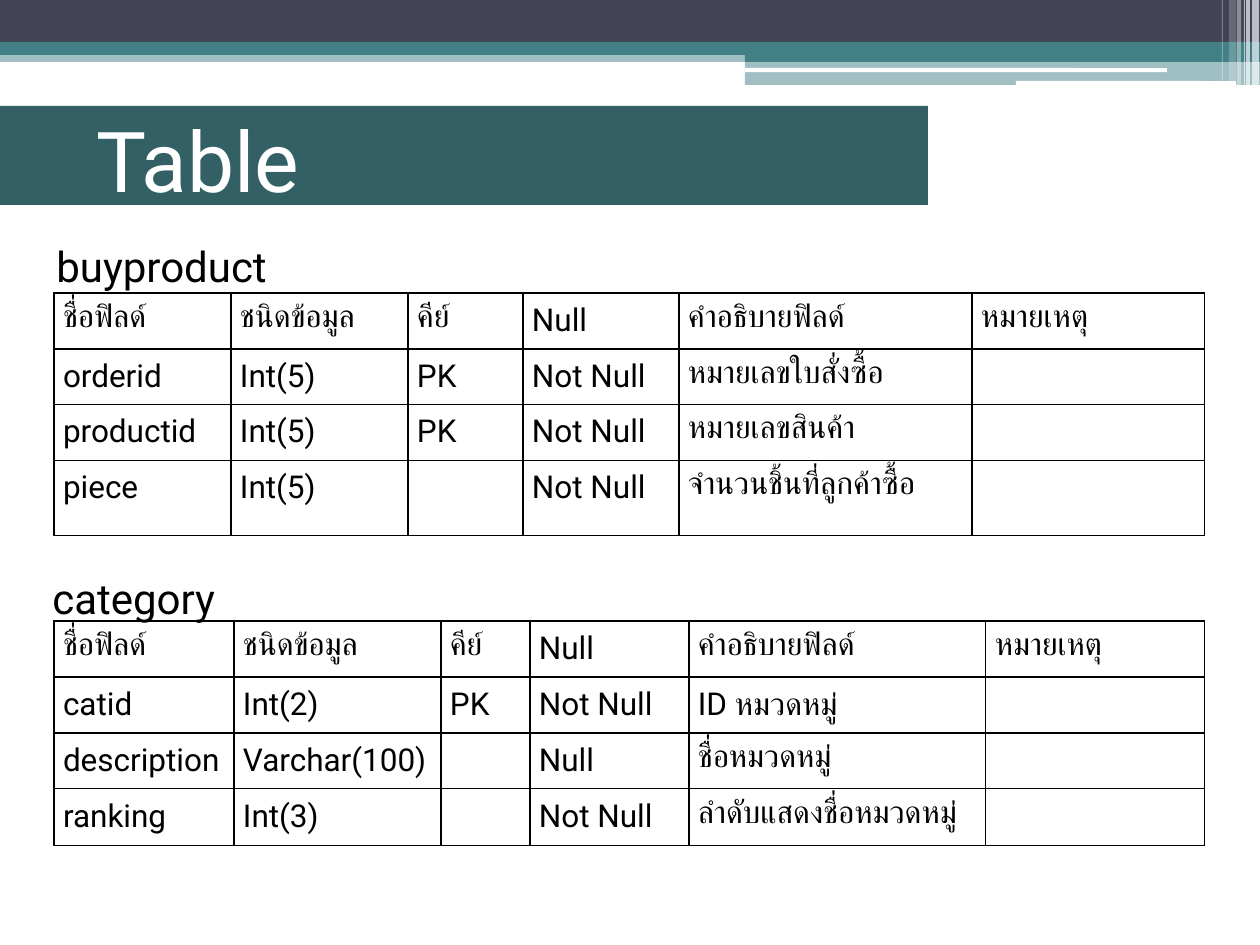
from dataclasses import dataclass

from lxml.etree import SubElement
from pptx import Presentation
from pptx.dml.color import RGBColor
from pptx.enum.shapes import MSO_SHAPE
from pptx.enum.text import MSO_ANCHOR
from pptx.oxml.ns import qn
from pptx.util import Emu, Pt


@dataclass(frozen=True)
class Theme:
    font: str = "Roboto"
    navy: str = "424456"
    teal: str = "438086"
    dark_teal: str = "326065"
    white: str = "FFFFFF"
    black: str = "000000"
    title_size: int = 48
    heading_size: int = 24
    cell_size: int = 18
    border_width: float = 0.75


THEME = Theme()
EMU_PER_PX = 914400 / 126
SLIDE_SIZE = (1260, 945)
CELL_MARGIN = 9

# (left, top, width, height), colour, opacity in percent
BARS = [
    ((0, 50, 1260, 12), THEME.teal, 50),
    ((0, 0, 1260, 42), THEME.navy, 100),
    ((0, 42, 1260, 13), THEME.teal, 100),
    ((745, 49, 515, 13), THEME.teal, 100),
    ((745, 62, 515, 23), THEME.teal, 50),
]
ROUNDED_BARS = [
    ((745, 68, 422, 4), THEME.white, 100),
    ((1016, 81, 220, 5), THEME.white, 100),
]
# left, width, height, opacity in percent
STRIPES = [
    (1252, 7, 85, 65),
    (1246, 4, 85, 65),
    (1244, 1, 85, 60),
    (1237, 4, 85, 40),
    (1229, 7, 81, 20),
    (1222, 1, 81, 30),
]
TITLE_BAND = ((0, 106, 928, 99), THEME.dark_teal, 100)
TITLE = ("Table", (84, 113, 1166, 91))

HEADER = ["ชื่อฟิลด์", "ชนิดข้อมูล", "คีย์", "Null", "คำอธิบายฟิลด์", "หมายเหตุ"]
TABLES = [
    {
        "heading": ("buyproduct", (44, 234, 276, 63)),
        "position": (54, 293),
        "columns": [177, 177, 115, 156, 293, 233],
        "rows": [56, 55, 56, 75],
        "records": [
            ["orderid", "Int(5)", "PK", "Not Null", "หมายเลขใบสั่งซื้อ", ""],
            ["productid", "Int(5)", "PK", "Not Null", "หมายเลขสินค้า", ""],
            ["piece", "Int(5)", "", "Not Null", "จำนวนชิ้นที่ลูกค้าซื้อ", ""],
        ],
    },
    {
        "heading": ("category", (40, 566, 276, 63)),
        "position": (54, 621),
        "columns": [180, 207, 89, 159, 297, 219],
        "rows": [56, 56, 56, 57],
        "records": [
            ["catid", "Int(2)", "PK", "Not Null", "ID หมวดหมู่", ""],
            ["description", "Varchar(100)", "", "Null", "ชื่อหมวดหมู่", ""],
            ["ranking", "Int(3)", "", "Not Null", "ลำดับแสดงชื่อหมวดหมู่", ""],
        ],
    },
]


def px(value):
    return Emu(round(value * EMU_PER_PX))


def add_bar(slide, box, color, opacity, kind=MSO_SHAPE.RECTANGLE):
    shape = slide.shapes.add_shape(kind, *map(px, box))
    shape.shadow.inherit = False
    shape.line.fill.background()
    shape.fill.solid()
    shape.fill.fore_color.rgb = RGBColor.from_string(color)
    if opacity < 100:
        color_element = shape.fill._xPr.find(qn("a:solidFill"))[0]
        SubElement(color_element, qn("a:alpha"), val=str(opacity * 1000))


def style_paragraph(paragraph, size, color):
    paragraph.font.name = THEME.font
    paragraph.font.size = Pt(size)
    paragraph.font.color.rgb = RGBColor.from_string(color)


def add_text(slide, text, box, size, color):
    frame = slide.shapes.add_textbox(*map(px, box)).text_frame
    frame.word_wrap = True
    frame.vertical_anchor = MSO_ANCHOR.MIDDLE
    frame.text = text
    style_paragraph(frame.paragraphs[0], size, color)


def add_borders(cell):
    properties = cell._tc.get_or_add_tcPr()
    for side in ("lnL", "lnR", "lnT", "lnB"):
        line = SubElement(properties, qn(f"a:{side}"), w=str(Pt(THEME.border_width)))
        fill = SubElement(line, qn("a:solidFill"))
        SubElement(fill, qn("a:srgbClr"), val=THEME.black)


def fill_cell(cell, text):
    add_borders(cell)
    cell.fill.background()
    cell.margin_left = cell.margin_right = px(CELL_MARGIN)
    cell.margin_top = cell.margin_bottom = px(CELL_MARGIN)
    cell.text = text
    style_paragraph(cell.text_frame.paragraphs[0], THEME.cell_size, THEME.black)


def add_field_table(slide, position, columns, rows, records):
    box = (*position, sum(columns), sum(rows))
    table = slide.shapes.add_table(len(rows), len(columns), *map(px, box)).table
    table.first_row = table.horz_banding = False
    for column, width in zip(table.columns, columns):
        column.width = px(width)
    for row, height, texts in zip(table.rows, rows, [HEADER, *records]):
        row.height = px(height)
        for cell, text in zip(row.cells, texts):
            fill_cell(cell, text)


def main():
    presentation = Presentation()
    presentation.slide_width, presentation.slide_height = map(px, SLIDE_SIZE)
    slide = presentation.slides.add_slide(presentation.slide_layouts[6])

    for bar in BARS:
        add_bar(slide, *bar)
    for bar in ROUNDED_BARS:
        add_bar(slide, *bar, kind=MSO_SHAPE.ROUNDED_RECTANGLE)
    for left, width, height, opacity in STRIPES:
        add_bar(slide, (left, 0, width, height), THEME.white, opacity)

    add_bar(slide, *TITLE_BAND)
    add_text(slide, *TITLE, THEME.title_size, THEME.white)
    for entry in TABLES:
        add_field_table(slide, entry["position"], entry["columns"],
                        entry["rows"], entry["records"])
        add_text(slide, *entry["heading"], THEME.heading_size, THEME.black)

    presentation.save("out.pptx")


if __name__ == "__main__":
    main()
